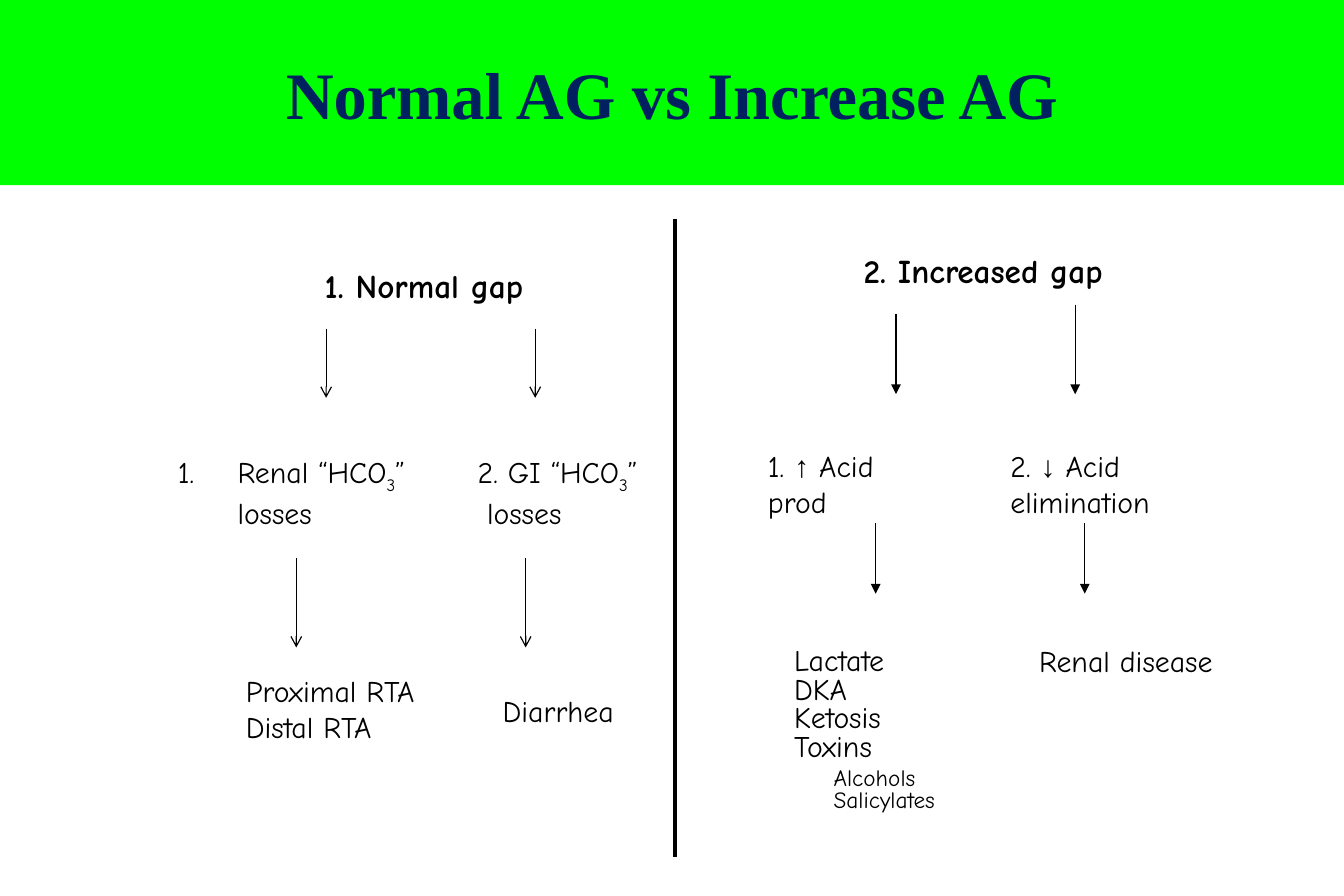
from lxml import etree
from pptx import Presentation
from pptx.dml.color import RGBColor
from pptx.enum.shapes import MSO_CONNECTOR, MSO_SHAPE
from pptx.enum.text import MSO_ANCHOR, PP_ALIGN
from pptx.oxml.ns import qn
from pptx.util import Inches, Pt

LINE, RECT = MSO_CONNECTOR.STRAIGHT, MSO_SHAPE.RECTANGLE
MIDDLE, CENTER = MSO_ANCHOR.MIDDLE, PP_ALIGN.CENTER
GREEN = RGBColor(0x00, 0xFF, 0x00)
NAVY = RGBColor(0x00, 0x20, 0x60)
BLACK = RGBColor(0x00, 0x00, 0x00)
BODY, SYMBOL, SERIF = "Comic Neue", "Arial", "Times New Roman"

# Content
TITLE = "Normal AG vs Increase AG"

# left, top, width, text
HEADS = [
    (2.62, 2.17, 2.0, "1. Normal gap"),
    (7.13, 2.05, 2.4, "2. Increased gap"),
]

# left, top, width, line spacing, lines; a line is (indent, size, runs)
NOTES = [
    (1.39, 3.75, 2.4, 1, [(0.5, 18, ("Renal “HCO", "3", "”")),
                          (0.5, 18, ("losses",))]),
    (3.9, 3.75, 1.7, 1, [(0, 18, ("2. GI “HCO", "3", "”")),
                         (0.08, 18, ("losses",))]),
    (1.96, 5.58, 1.8, 1, [(0, 18, ("Proximal RTA",)),
                          (0, 18, ("Distal RTA",))]),
    (4.11, 5.75, 1.4, 1, [(0, 18, ("Diarrhea",))]),
    (6.33, 3.7, 1.4, 1, [(0, 18, ("1. ", "↑", " Acid prod"))]),
    (8.36, 3.7, 1.7, 1, [(0, 18, ("2. ", "↓", " Acid elimination"))]),
    (6.55, 5.38, 1.6, 0.8, [(0, 18, ("Lactate",)), (0, 18, ("DKA",)),
                            (0, 18, ("Ketosis",)), (0, 18, ("Toxins",)),
                            (0.33, 14, ("Alcohols",)),
                            (0.33, 14, ("Salicylates",))]),
    (8.6, 5.33, 1.9, 1, [(0, 18, ("Renal disease",))]),
]
LISTED = "Renal “HCO"  # the line with an automatic number

# head style, then x, top, bottom
ARROWS = {
    "arrow": [(2.48, 4.67, 5.42), (4.4, 4.67, 5.42),
              (2.73, 2.75, 3.33), (4.48, 2.75, 3.33)],
    "triangle": [(7.5, 2.63, 3.3), (9, 2.55, 3.3),
                 (7.33, 4.38, 4.97), (9.08, 4.38, 4.97)],
}
DIVIDER = (5.65, 1.83, 7.17)


def set_font(para, name, size, color, bold=False):
    font = para.font
    font.name, font.size, font.bold = name, Pt(size), bold
    font.color.rgb = color


def add_box(left, top, width, height):
    box = slide.shapes.add_textbox(
        Inches(left), Inches(top), Inches(width), Inches(height))
    box.text_frame.word_wrap = True
    return box.text_frame


def add_line(x, top, bottom, weight, head=None):
    line = slide.shapes.add_connector(
        LINE, Inches(x), Inches(top), Inches(x), Inches(bottom))
    line.line.color.rgb = BLACK
    line.line.width = Pt(weight)
    if head:
        etree.SubElement(line.line._get_or_add_ln(), qn("a:tailEnd"), type=head)
    etree.SubElement(line._element.spPr, qn("a:effectLst"))


def add_runs(para, runs):
    for text in runs:
        run = para.add_run()
        run.text = text
        if text in ("↑", "↓"):
            run.font.name = SYMBOL
        elif text == "3":
            run.font._element.set("baseline", "-25000")


deck = Presentation()
deck.slide_width, deck.slide_height = Inches(11.25), Inches(7.5)
slide = deck.slides.add_slide(deck.slide_layouts[6])

# Title band
band = slide.shapes.add_shape(RECT, 0, 0, deck.slide_width, Inches(1.55))
band.shadow.inherit = False
band.fill.solid()
band.fill.fore_color.rgb = GREEN
band.line.fill.background()
band.text_frame.vertical_anchor = MIDDLE
para = band.text_frame.paragraphs[0]
para.text, para.alignment = TITLE, CENTER
set_font(para, SERIF, 40, NAVY, True)

# Headings
for left, top, width, text in HEADS:
    para = add_box(left, top, width, 0.44).paragraphs[0]
    para.text = text
    set_font(para, BODY, 20, BLACK, True)

# Causes and examples
for left, top, width, gap, lines in NOTES:
    frame = add_box(left, top, width, 0.1 + 0.3 * gap * len(lines))
    last = None
    for indent, size, runs in lines:
        para = frame.paragraphs[0] if last is None else frame.add_paragraph()
        para.line_spacing = float(gap)
        if last and size < last:
            para.space_before = Pt(3)
        props = para._p.get_or_add_pPr()
        props.set("marL", str(Inches(indent)))
        if runs[0] == LISTED:
            props.set("indent", str(-Inches(indent)))
            etree.SubElement(props, qn("a:buAutoNum"), type="arabicPeriod")
        set_font(para, BODY, size, BLACK)
        add_runs(para, runs)
        last = size

# Arrows and divider
for head, spots in ARROWS.items():
    for x, top, bottom in spots:
        add_line(x, top, bottom, 0.75, head)
add_line(*DIVIDER, 2.25)

deck.save("out.pptx")
